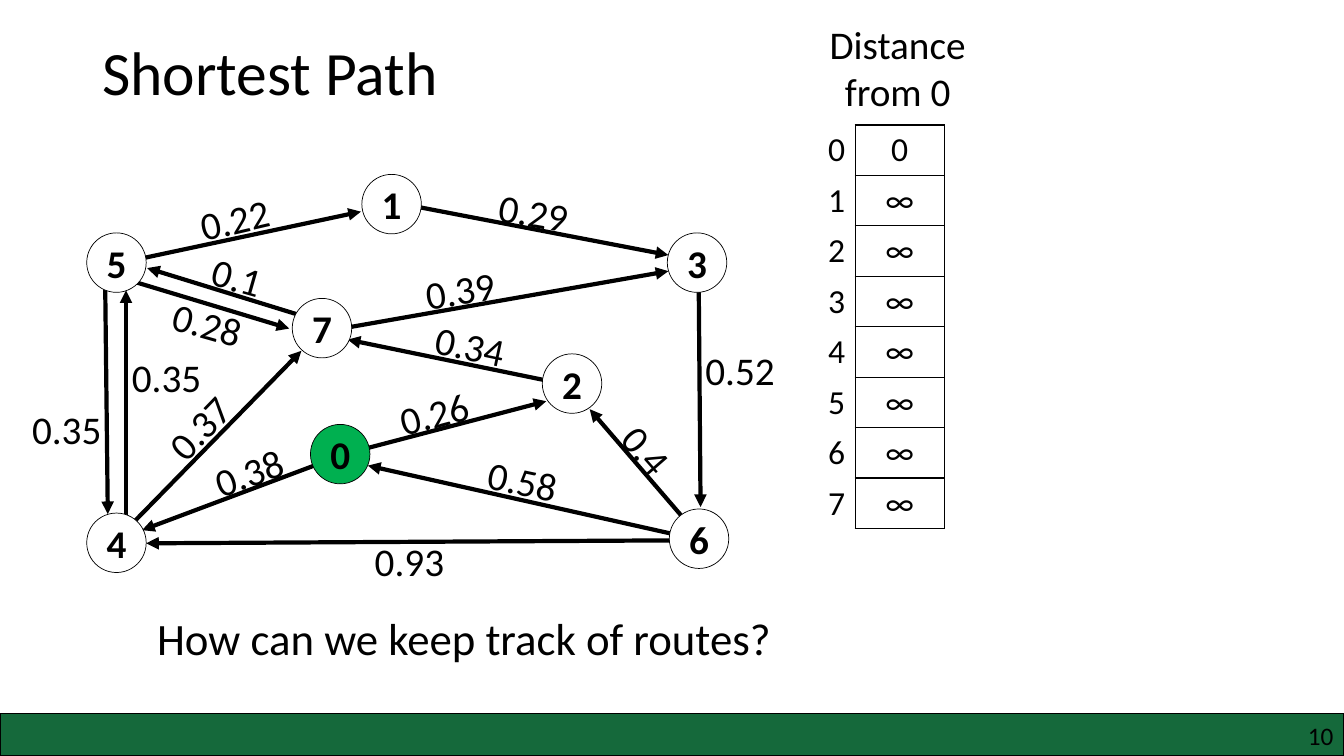
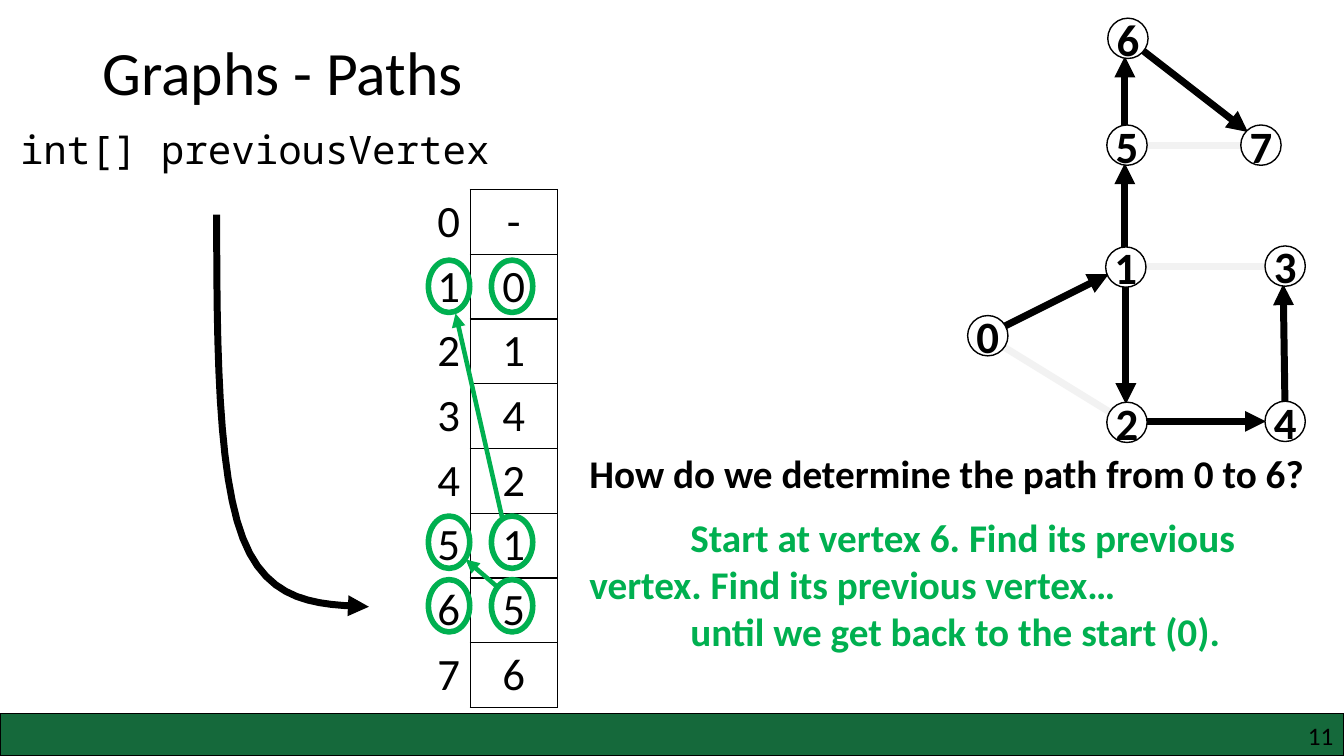
from dataclasses import dataclass
from typing import Sequence

from lxml import etree
from pptx import Presentation
from pptx.dml.color import RGBColor
from pptx.enum.shapes import MSO_CONNECTOR, MSO_SHAPE
from pptx.enum.text import MSO_ANCHOR, PP_ALIGN
from pptx.oxml.ns import qn
from pptx.util import Pt

OVAL, RECT = MSO_SHAPE.OVAL, MSO_SHAPE.RECTANGLE
STRAIGHT = MSO_CONNECTOR.STRAIGHT
LEFT, CENTER, RIGHT = PP_ALIGN.LEFT, PP_ALIGN.CENTER, PP_ALIGN.RIGHT
TOP, MIDDLE = MSO_ANCHOR.TOP, MSO_ANCHOR.MIDDLE

COLORS = {
    "black": "000000",
    "white": "FFFFFF",
    "green": "00B050",
    "band": "15693B",
    "pale": "F2F2F2",
}
SANS, MONO = "Calibri", "Noto Sans Mono"
WIDTH, HEIGHT = 960, 540
BAND_TOP = 509.8


@dataclass
class Node:
    name: str
    x: float
    y: float
    fill: str = "white"


@dataclass
class Edge:
    x1: float
    y1: float
    x2: float
    y2: float
    color: str = "black"
    arrow: bool = True


@dataclass
class Label:
    text: str
    x: float
    y: float
    turn: float = 0


ROUTES = [
    Edge(501.8, 385.9, 421.2, 292.3),
    Edge(497.5, 385.2, 262.8, 332.6),
    Edge(499, 385.9, 104.4, 388.1),
    Edge(244.8, 324.7, 390.2, 286.6),
    Edge(245.5, 324.7, 101.5, 378.7),
    Edge(409.7, 275.8, 248.4, 242.6),
    Edge(81.4, 387.4, 215.3, 250.6),
    Edge(235.4, 236.2, 477.4, 193.7),
    Edge(499, 190.8, 500.4, 362.2),
    Edge(229, 229.7, 105.1, 191.5),
    Edge(77.8, 195.8, 206.6, 234.7),
    Edge(74.9, 182.2, 77, 367.2),
    Edge(90, 380.9, 90, 207.4),
    Edge(85.7, 187.9, 257.8, 151.2),
    Edge(282.2, 144.7, 477.4, 182.2),
]
STOPS = [
    Node("0", 243, 324.4, "green"),
    Node("1", 279.7, 145.8),
    Node("2", 408.6, 274),
    Node("3", 497.9, 187.6),
    Node("4", 83.2, 387.7),
    Node("5", 83.2, 187.6),
    Node("6", 499.3, 384.8),
    Node("7", 230, 234.4),
]
WEIGHTS = [
    Label("0.35", 87.1, 249.1),
    Label("0.35", 15.8, 285.8),
    Label("0.37", 108, 278.6, 314),
    Label("0.1", 144, 181.4, 16),
    Label("0.28", 115.9, 213.1, 16),
    Label("0.22", 135.4, 133.9, 347),
    Label("0.38", 145.4, 313.9, 340),
    Label("0.26", 277.9, 272.2, 345),
    Label("0.39", 296.6, 185, 351),
    Label("0.29", 349.2, 132.5, 10),
    Label("0.34", 303.8, 228.2, 12),
    Label("0.52", 496.8, 244.1),
    Label("0.93", 260.6, 380.2),
    Label("0.58", 341.3, 324.7, 12),
    Label("0.4", 431.6, 312.6, 49),
]
LINKS = [
    Edge(918, 190.1, 804.2, 190.1, "pale", False),
    Edge(708.5, 242.6, 803.5, 301, "pale", False),
    Edge(887.8, 103.7, 805, 103.7, "pale", False),
    Edge(807.8, 29.5, 891.4, 94.3),
    Edge(803.5, 190.8, 803.5, 116.6),
    Edge(803.5, 103.7, 803.5, 40.3),
    Edge(804.2, 195.1, 804.2, 288.7),
    Edge(803.5, 301, 904.3, 301),
    Edge(918, 299.5, 916.6, 203),
    Edge(707, 238.3, 792, 195.8),
]
POINTS = [
    Node("0", 705.6, 239.8),
    Node("1", 804.2, 190.8),
    Node("2", 805, 301.7),
    Node("3", 918, 190.1),
    Node("4", 918, 301),
    Node("5", 805, 103.7),
    Node("6", 805.7, 27.4),
    Node("7", 900.7, 103.7),
]
STEPS = [
    Edge(355, 419, 332.6, 399.6, "green"),
    Edge(358.6, 369.4, 325.4, 223.9, "green"),
]
CURVES = [
    ((154.8, 153.4), (154.8, 245.5), (155.5, 338.4), (173.5, 384.5)),
    ((173.5, 384.5), (191.5, 431.3), (227.5, 432), (263.5, 433.4)),
]


def rgb(name: str) -> RGBColor:
    return RGBColor.from_string(COLORS[name])


def style(para, size: float, color: str = "black", bold: bool = False,
          font: str = SANS) -> None:
    for run in para.runs:
        run.font.name = font
        run.font.size = Pt(size)
        run.font.bold = bold
        run.font.color.rgb = rgb(color)


def add_text(slide, text: str, x: float, y: float, w: float, h: float,
             size: float, align=LEFT, font: str = SANS, anchor=TOP):
    box = slide.shapes.add_textbox(Pt(x), Pt(y), Pt(w), Pt(h))
    frame = box.text_frame
    frame.word_wrap = True
    frame.vertical_anchor = anchor
    frame.text = text
    para = frame.paragraphs[0]
    para.alignment = align
    style(para, size, font=font)
    return box


def add_shape(slide, kind, x: float, y: float, w: float, h: float,
              fill: str, line: str, weight: float):
    """Draw a flat shape; an empty fill name leaves it hollow."""
    shape = slide.shapes.add_shape(kind, Pt(x), Pt(y), Pt(w), Pt(h))
    shape.shadow.inherit = False
    if fill:
        shape.fill.solid()
        shape.fill.fore_color.rgb = rgb(fill)
    else:
        shape.fill.background()
    shape.line.color.rgb = rgb(line)
    shape.line.width = Pt(weight)
    return shape


def add_tip(shape) -> None:
    """Put an arrowhead on the end of a line."""
    ln = shape.line._get_or_add_ln()
    etree.SubElement(ln, qn("a:tailEnd"), type="triangle")


def add_edges(slide, edges: Sequence[Edge], weight: float) -> None:
    for edge in edges:
        line = slide.shapes.add_connector(
            STRAIGHT, Pt(edge.x1), Pt(edge.y1), Pt(edge.x2), Pt(edge.y2))
        line.line.color.rgb = rgb(edge.color)
        line.line.width = Pt(weight)
        if edge.arrow:
            add_tip(line)
        etree.SubElement(line._element.spPr, qn("a:effectLst"))


def add_nodes(slide, nodes: Sequence[Node], wide: float, weight: float,
              size: float) -> None:
    for node in nodes:
        disc = add_shape(slide, OVAL, node.x - wide / 2, node.y - wide / 2,
                         wide, wide, node.fill, "black", weight)
        frame = disc.text_frame
        frame.margin_left = frame.margin_right = 0
        frame.margin_top = frame.margin_bottom = 0
        frame.word_wrap = False
        frame.vertical_anchor = MIDDLE
        frame.text = node.name
        frame.paragraphs[0].alignment = CENTER
        style(frame.paragraphs[0], size, bold=True)


def add_border(cell, sides: str) -> None:
    props = cell._tc.get_or_add_tcPr()
    for side in sides:
        ln = etree.SubElement(props, qn(f"a:ln{side}"), w=str(Pt(1)))
        fill = etree.SubElement(ln, qn("a:solidFill"))
        etree.SubElement(fill, qn("a:srgbClr"), val=COLORS["black"])


def add_array(slide, values: Sequence[str], x: float, y: float,
              cols: Sequence[float], high: float, size: float) -> None:
    """Draw an array as a column of boxes with its indexes on the left."""
    count = len(values)
    table = slide.shapes.add_table(count, 2, Pt(x), Pt(y), Pt(sum(cols)),
                                   Pt(high * count)).table
    table.first_row = table.horz_banding = False
    for col, wide in zip(table.columns, cols):
        col.width = Pt(wide)
    for i, value in enumerate(values):
        table.rows[i].height = Pt(high)
        parts = ((str(i), RIGHT, "R"), (value, CENTER, "LRTB"))
        for j, (text, align, sides) in enumerate(parts):
            cell = table.cell(i, j)
            add_border(cell, sides)
            cell.fill.background()
            cell.text = text
            para = cell.text_frame.paragraphs[0]
            para.alignment = align
            style(para, size)


def add_curve(slide, parts: int = 12) -> None:
    """Draw the bent arrow, sampling each cubic curve evenly."""
    dots = []
    for a, b, c, d in CURVES:
        for i in range(1, parts + 1):
            t = i / parts
            u = 1 - t
            dots.append(tuple(
                Pt(u**3 * p + 3 * u * u * t * q + 3 * u * t * t * r + t**3 * s)
                for p, q, r, s in zip(a, b, c, d)))
    x, y = CURVES[0][0]
    path = slide.shapes.build_freeform(Pt(x), Pt(y))
    path.add_line_segments(dots, close=False)
    bend = path.convert_to_shape()
    bend.shadow.inherit = False
    bend.fill.background()
    bend.line.color.rgb = rgb("black")
    bend.line.width = Pt(5)
    add_tip(bend)


def add_slide(deck, title: str, number: int):
    slide = deck.slides.add_slide(deck.slide_layouts[6])
    head = add_text(slide, title, 66, 1.4, 828, 104.4, 44, anchor=MIDDLE)
    head.text_frame.paragraphs[0].line_spacing = 0.9
    add_shape(slide, RECT, 0, BAND_TOP, WIDTH, HEIGHT - BAND_TOP,
              "band", "black", 1)
    foot = add_text(slide, str(number), 919.4, 514.8, 33.1, 21.6, 18, RIGHT)
    frame = foot.text_frame
    frame.margin_left = frame.margin_right = 0
    frame.margin_top = frame.margin_bottom = 0
    return slide


def draw_routes(deck) -> None:
    slide = add_slide(deck, "Shortest Path", 10)
    add_edges(slide, ROUTES, 3)
    add_nodes(slide, STOPS, 42.5, 0.5, 28)
    for label in WEIGHTS:
        box = add_text(slide, label.text, label.x, label.y, 80.6, 41.8, 28)
        box.rotation = label.turn
    add_text(slide, "Distance from 0", 579.6, 10.8, 123.1, 74.9, 28, CENTER)
    add_text(slide, "How can we keep track of routes?",
             105.1, 432.7, 789, 46, 32)
    add_array(slide, ["0"] + ["∞"] * 7, 565.9, 89.3, (45, 63.5), 36, 24)


def draw_paths(deck) -> None:
    slide = add_slide(deck, "Graphs - Paths", 11)
    add_array(slide, list("-0142156"), 273.6, 135.4, (62.2, 62.2), 46.25, 32)
    add_text(slide, "int[] previousVertex", 7.2, 85.7, 373, 41, 28, font=MONO)
    add_curve(slide)
    for y in (414, 368.6, 185.8):
        for x in (306, 351):
            add_shape(slide, OVAL, x, y, 29.5, 37.4, "", "green", 4)
    add_edges(slide, STEPS, 3.25)
    note = add_text(slide, "How do we determine the path from 0 to 6?",
                    414, 317.5, 532.8, 179.3, 28)
    frame = note.text_frame
    style(frame.paragraphs[0], 28, bold=True)
    answers = (
        ("Start at vertex 6. Find its previous vertex. "
         "Find its previous vertex…", 12.2),
        ("until we get back to the start (0).", 0),
    )
    for text, gap in answers:
        para = frame.add_paragraph()
        para.text = text
        para.space_before = Pt(gap)
        para._p.get_or_add_pPr().set("indent", str(Pt(72)))
        style(para, 28, "green", True)
    add_edges(slide, LINKS, 5)
    add_nodes(slide, POINTS, 28.8, 1, 32)


def main() -> None:
    deck = Presentation()
    deck.slide_width, deck.slide_height = Pt(WIDTH), Pt(HEIGHT)
    draw_routes(deck)
    draw_paths(deck)
    deck.save("out.pptx")


if __name__ == "__main__":
    main()
